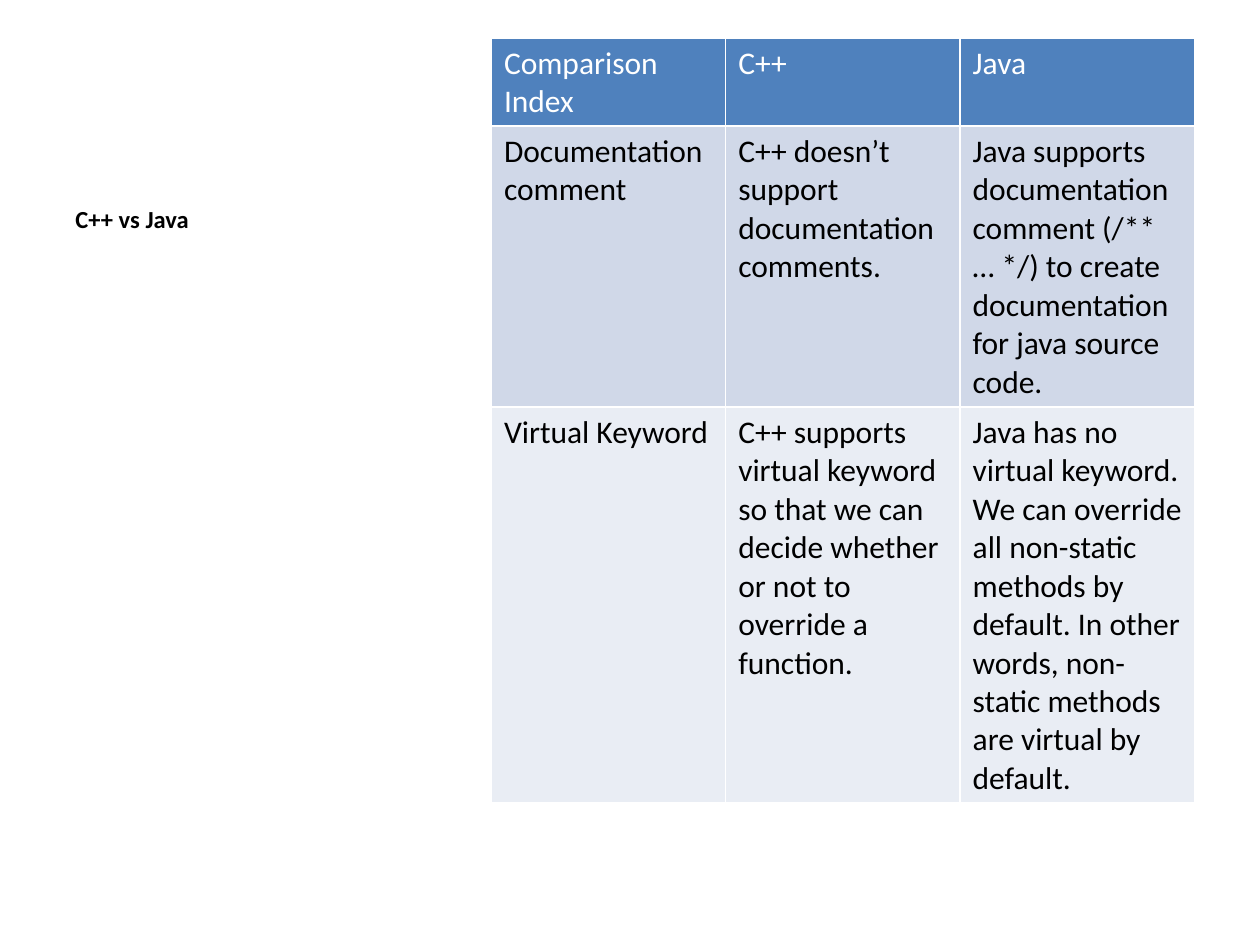
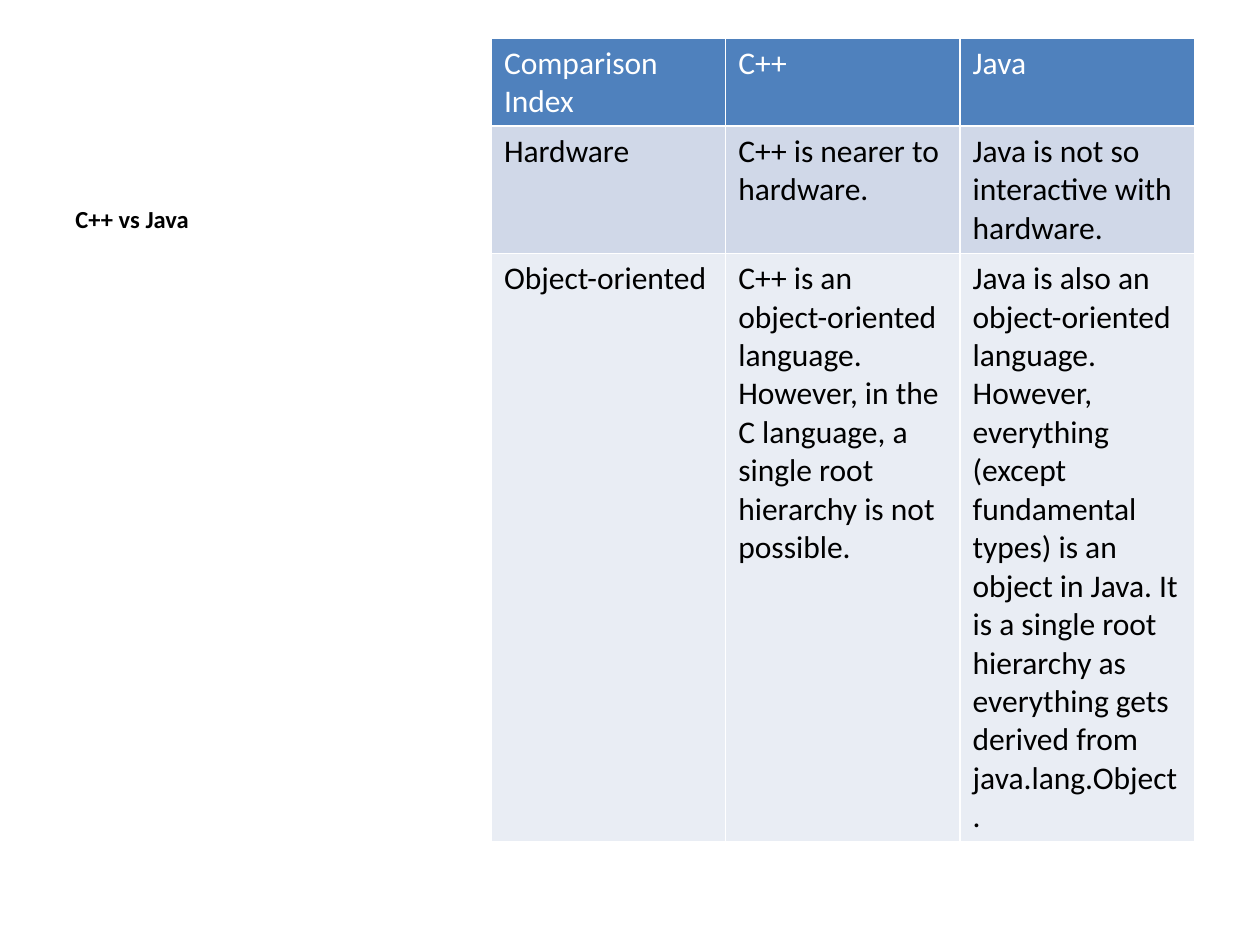
from pptx import Presentation
from pptx.dml.color import RGBColor
from pptx.util import Inches, Pt

BLACK = RGBColor(0x00, 0x00, 0x00)
WHITE = RGBColor(0xFF, 0xFF, 0xFF)
HEADER_BLUE = RGBColor(0x4F, 0x81, 0xBD)
BAND_DARK = RGBColor(0xD0, 0xD8, 0xE8)
BAND_LIGHT = RGBColor(0xE9, 0xED, 0xF4)
ROW_FILLS = [HEADER_BLUE, BAND_DARK, BAND_LIGHT]

FONT = "Calibri"
TITLE = "C++ vs Java"
HEADER = ["Comparison Index", "C++", "Java"]
HEADER_HEIGHT = 0.7
COLUMN_WIDTH = 1.86

# Each slide: body rows as (height, cell texts)
comparisons = [
    [
        (2.23, ["Documentation comment",
                "C++ doesn’t support documentation comments.",
                "Java supports documentation comment (/** … */) to create "
                "documentation for java source code."]),
        (3.14, ["Virtual Keyword",
                "C++ supports virtual keyword so that we can decide whether "
                "or not to override a function.",
                "Java has no virtual keyword. We can override all non-static "
                "methods by default. In other words, non-static methods are "
                "virtual by default."]),
    ],
    [
        (1.01, ["Hardware",
                "C++ is nearer to hardware.",
                "Java is not so interactive with hardware."]),
        (4.67, ["Object-oriented",
                "C++ is an object-oriented language. However, in the C "
                "language, a single root hierarchy is not possible.",
                "Java is also an object-oriented language. However, "
                "everything (except fundamental types) is an object in Java. "
                "It is a single root hierarchy as everything gets derived "
                "from java.lang.Object."]),
    ],
]


def style_text(p, size, color, bold):
    p.font.name = FONT
    p.font.size = Pt(size)
    p.font.bold = bold
    p.font.color.rgb = color


prs = Presentation()
prs.slide_width, prs.slide_height = Inches(10), Inches(7.5)

for body in comparisons:
    s = prs.slides.add_slide(prs.slide_layouts[6])

    # Side title
    tf = s.shapes.add_textbox(Inches(0.5), Inches(1.57),
                              Inches(3.29), Inches(5.13)).text_frame
    tf.word_wrap = True
    p = tf.paragraphs[0]
    p.text = TITLE
    style_text(p, 14, BLACK, True)

    # Comparison table
    rows = [(HEADER_HEIGHT, HEADER)] + body
    table = s.shapes.add_table(
        len(rows), len(HEADER), Inches(3.9), Inches(0.3),
        Inches(COLUMN_WIDTH * len(HEADER)),
        Inches(sum(height for height, _ in rows))).table
    for column in table.columns:
        column.width = Inches(COLUMN_WIDTH)
    for i, (height, texts) in enumerate(rows):
        table.rows[i].height = Inches(height)
        for j, text in enumerate(texts):
            cell = table.cell(i, j)
            cell.text = text
            cell.fill.solid()
            cell.fill.fore_color.rgb = ROW_FILLS[i]
            style_text(cell.text_frame.paragraphs[0], 18,
                       WHITE if i == 0 else BLACK, False)

prs.save("out.pptx")
